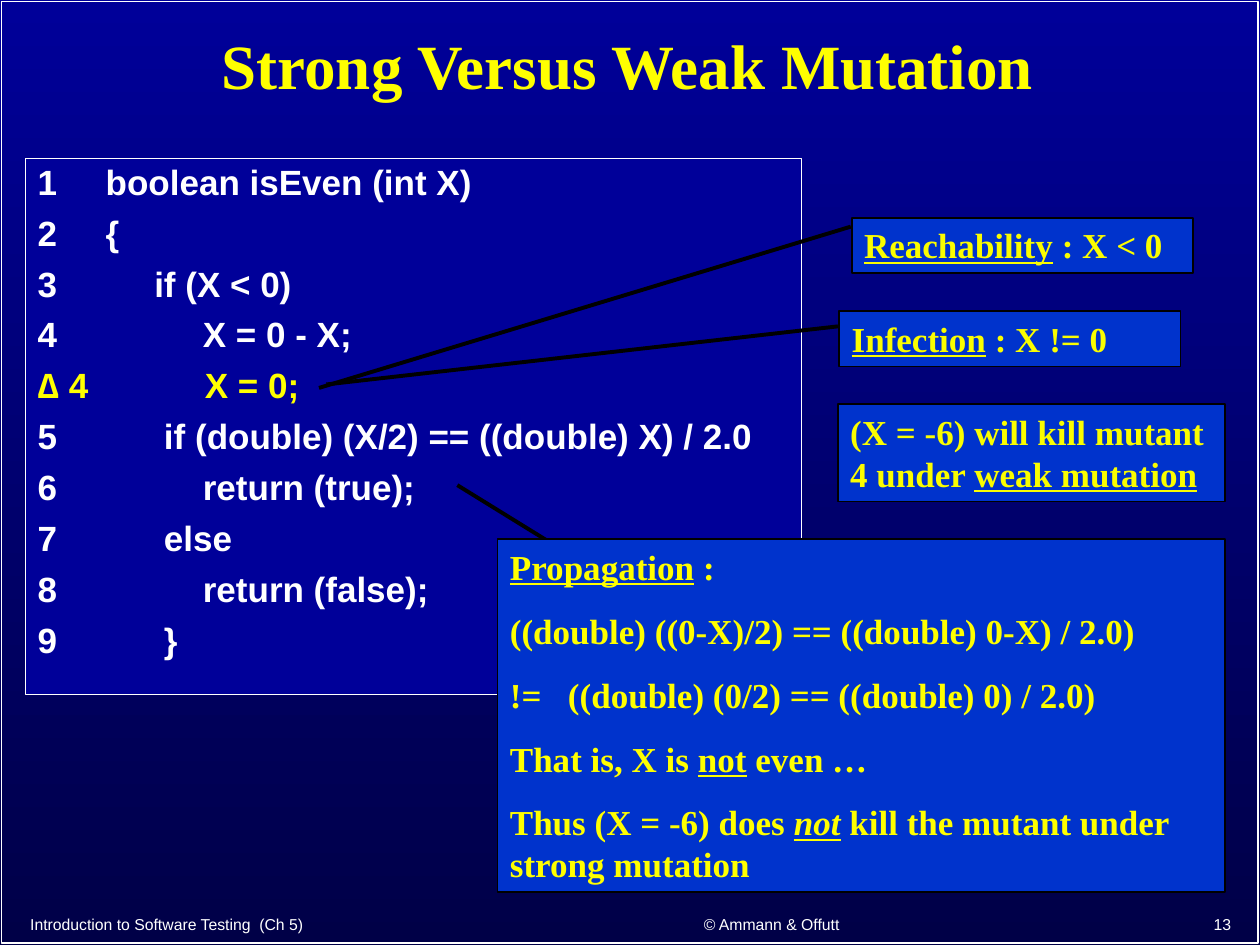
from lxml import etree
from pptx import Presentation
from pptx.dml.color import RGBColor
from pptx.enum.shapes import MSO_CONNECTOR as Connector, MSO_SHAPE as Shape
from pptx.enum.text import MSO_ANCHOR as Anchor, PP_ALIGN as Align
from pptx.oxml.ns import qn
from pptx.util import Cm, Pt

WHITE = RGBColor(0xFF, 0xFF, 0xFF)
BLACK = RGBColor(0x00, 0x00, 0x00)
YELLOW = RGBColor(0xFF, 0xFF, 0x00)
CALLOUT_YELLOW = RGBColor(0xFA, 0xFD, 0x00)
CALLOUT_BLUE = RGBColor(0x00, 0x33, 0xCC)
NAVY = RGBColor(0x00, 0x00, 0x99)
DARK_NAVY = RGBColor(0x00, 0x00, 0x47)
SANS, SERIF = "Arial", "Times New Roman"
UNDER = {"underline": True}
UNDER_ITALIC = {"underline": True, "italic": True}

CODE = [
    "1     boolean isEven (int X)",
    "2     {",
    "3          if (X < 0)",
    "4               X = 0 - X;",
    "∆ 4            X = 0;",
    "5           if (double) (X/2) == ((double) X) / 2.0",
    "6               return (true);",
    "7           else",
    "8               return (false);",
    "9           }",
]
MUTANT = "∆"

# Each paragraph is a list of (text, style) runs
REACHABILITY = [[("Reachability", UNDER), (" : X < 0", {})]]
INFECTION = [[("Infection", UNDER), (" : X != 0", {})]]
WEAK_KILL = [[("(X = -6) will kill mutant 4 under ", {}), ("weak mutation", UNDER)]]
PROPAGATION = [
    [("Propagation", UNDER), (" :", {})],
    [("((double) ((0-X)/2) == ((double) 0-X) / 2.0)", {})],
    [("!=\t((double) (0/2) == ((double) 0) / 2.0)", {})],
    [("That is, X is ", {}), ("not", UNDER), (" even …", {})],
    [("Thus (X = -6) does ", {}), ("not", UNDER_ITALIC),
     (" kill the mutant under strong mutation", {})],
]


def write(paragraph, text, font=SERIF, size=20, color=WHITE, bold=True,
          align=Align.LEFT, spacing=None, before=0, underline=None, italic=None):
    """Append one formatted run to the paragraph."""
    paragraph.alignment = align
    paragraph.space_before = Pt(before)
    if spacing:
        paragraph.line_spacing = spacing
    run = paragraph.add_run()
    run.text = text
    run.font.name, run.font.size = font, Pt(size)
    run.font.color.rgb = color
    run.font.bold, run.font.underline, run.font.italic = bold, underline, italic


def paragraph_at(frame, index):
    return frame.add_paragraph() if index else frame.paragraphs[0]


def add_tab_stop(paragraph, position):
    stops = etree.SubElement(paragraph._p.get_or_add_pPr(), qn("a:tabLst"))
    etree.SubElement(stops, qn("a:tab"), pos=str(position), algn="l")


def add_panel(slide, box, fill, line, width):
    panel = slide.shapes.add_shape(Shape.RECTANGLE, *map(Cm, box))
    panel.shadow.inherit = False
    if fill is None:
        panel.fill.background()
    else:
        panel.fill.solid()
        panel.fill.fore_color.rgb = fill
    panel.line.color.rgb = line
    panel.line.width = Pt(width)
    panel.text_frame.word_wrap = True
    panel.text_frame.vertical_anchor = Anchor.TOP
    return panel


def add_backdrop(slide, box):
    fill = slide.background.fill
    fill.gradient()
    fill.gradient_angle = 270
    for stop, color in zip(fill.gradient_stops, (NAVY, DARK_NAVY)):
        stop.color.rgb = color
    add_panel(slide, box, None, WHITE, 1)


def add_title(slide, box, text):
    title = slide.shapes.title
    title.left, title.top, title.width, title.height = map(Cm, box)
    title.text_frame.vertical_anchor = Anchor.MIDDLE
    write(title.text_frame.paragraphs[0], text, size=36, color=YELLOW,
          align=Align.CENTER, spacing=0.9)


def add_footer(slide, box):
    left, top, width, height = box
    # Offset and width of each part, with its text
    parts = [
        (0, 10.82, "Introduction to Software Testing  (Ch 5)", Align.LEFT),
        (11.17, 8.05, "© Ammann & Offutt", Align.CENTER),
        (width - 5.05, 5.05, "13", Align.RIGHT),
    ]
    for offset, part_width, text, align in parts:
        part = slide.shapes.add_textbox(Cm(left + offset), Cm(top),
                                        Cm(part_width), Cm(height))
        part.text_frame.word_wrap = True
        part.text_frame.vertical_anchor = Anchor.BOTTOM
        write(part.text_frame.paragraphs[0], text, font=SANS, size=9,
              bold=False, align=align)


def add_code(slide, box):
    frame = add_panel(slide, box, NAVY, WHITE, 0.75).text_frame
    for index, code_line in enumerate(CODE):
        color = YELLOW if code_line.startswith(MUTANT) else WHITE
        write(paragraph_at(frame, index), code_line, font=SANS, color=color,
              spacing=0.9, before=7.5 if index else 0)


def add_callout(slide, box, paragraphs, pointer=None, color=CALLOUT_YELLOW):
    """Place a callout; pointer holds two points relative to the box corner."""
    left, top = box[:2]
    if pointer:
        ends = [Cm(value) for x, y in pointer for value in (left + x, top + y)]
        leader = slide.shapes.add_connector(Connector.STRAIGHT, *ends)
        leader.line.color.rgb = BLACK
        leader.line.width = Pt(2.25)
        etree.SubElement(leader._element.spPr, qn("a:effectLst"))
    frame = add_panel(slide, box, CALLOUT_BLUE, BLACK, 1).text_frame
    for index, runs in enumerate(paragraphs):
        paragraph = paragraph_at(frame, index)
        if any("\t" in text for text, _ in runs):
            add_tab_stop(paragraph, Cm(1.17))
        for text, style in runs:
            write(paragraph, text, color=color,
                  before=12.5 if index else 0, **style)


def main():
    deck = Presentation()
    deck.slide_width, deck.slide_height = Cm(25.4), Cm(19.05)
    slide = deck.slides.add_slide(deck.slide_layouts[5])

    add_backdrop(slide, (0.03, 0.03, 25.33, 18.98))
    add_footer(slide, (0.36, 18.22, 24.71, 0.73))
    add_code(slide, (0.51, 3.2, 15.65, 10.8))
    add_title(slide, (0.38, 0.28, 24.54, 2.24), "Strong Versus Weak Mutation")

    # Conditions for killing the mutant
    add_callout(slide, (17.17, 4.39, 6.88, 1.12), REACHABILITY,
                pointer=((-0.02, 0.18), (-10.74, 3.43)))
    add_callout(slide, (16.92, 6.27, 6.88, 1.12), INFECTION,
                pointer=((-0.03, 0.31), (-10.34, 1.48)))
    add_callout(slide, (16.89, 8.15, 7.8, 1.96), WEAK_KILL)
    add_callout(slide, (10.03, 10.87, 14.66, 7.11), PROPAGATION,
                pointer=((2.85, 1.17), (-0.81, -1.09)), color=YELLOW)

    deck.save("out.pptx")


if __name__ == "__main__":
    main()
